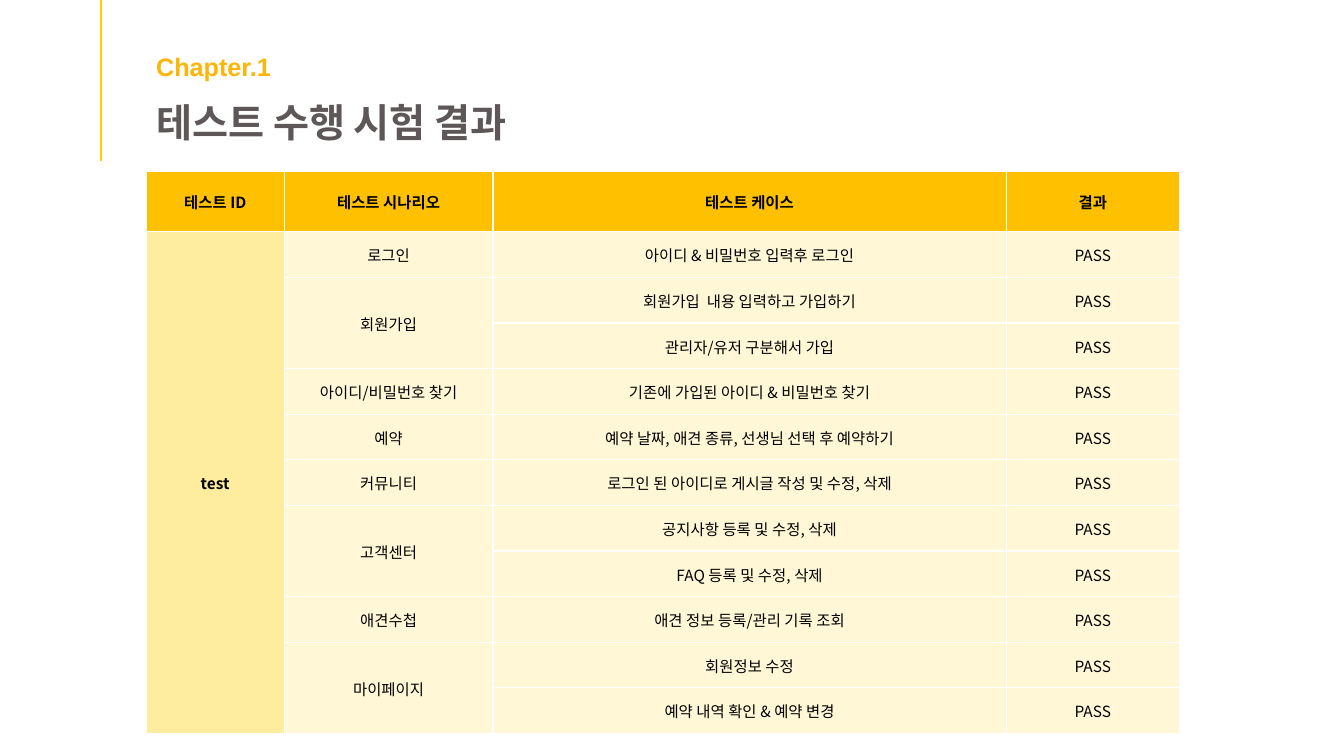
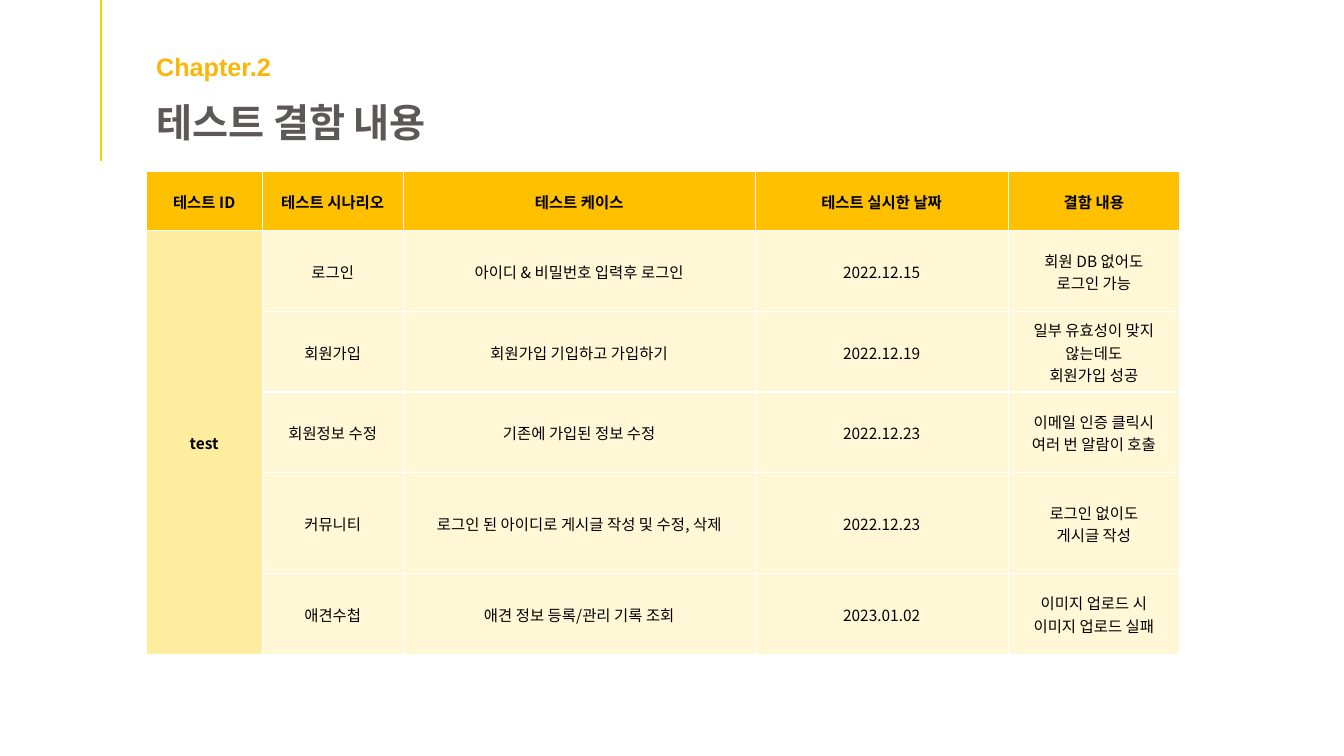
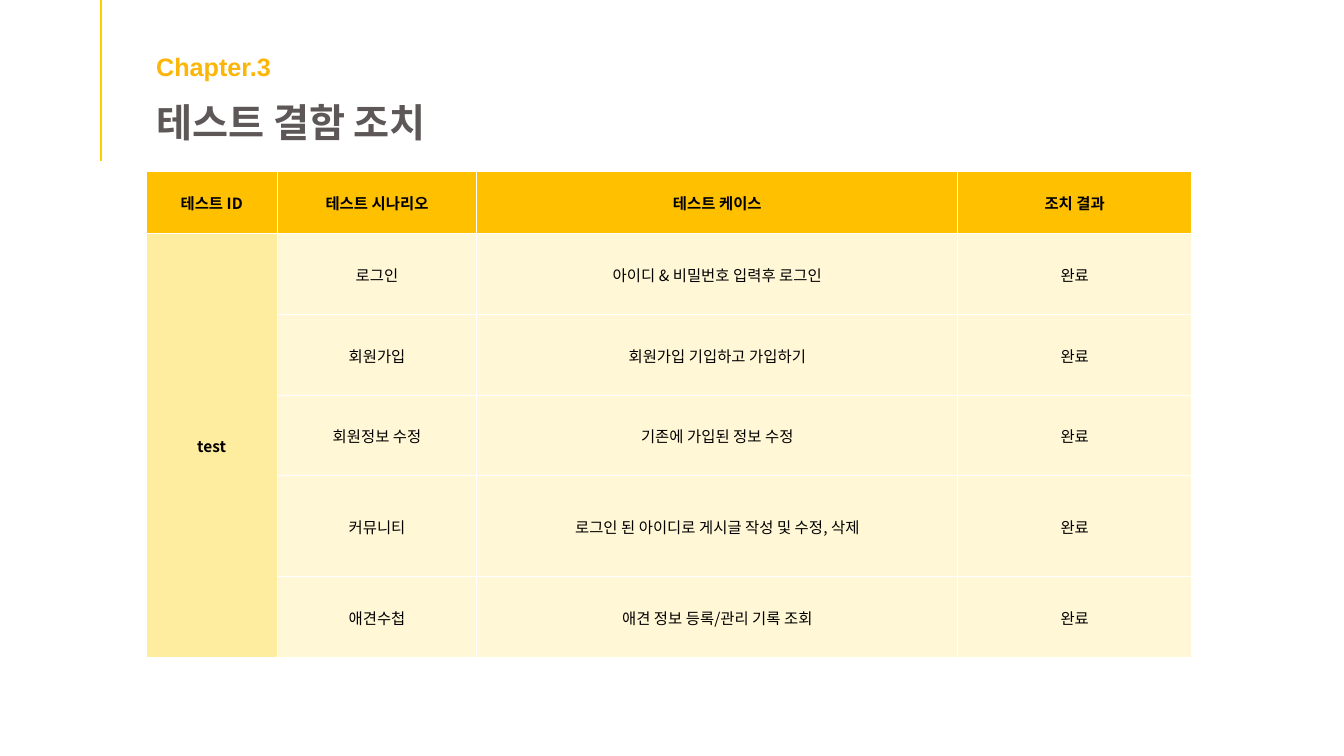
from dataclasses import dataclass

from lxml.etree import SubElement
from pptx import Presentation
from pptx.dml.color import RGBColor
from pptx.enum.shapes import MSO_CONNECTOR
from pptx.enum.text import MSO_ANCHOR, PP_ALIGN
from pptx.oxml.ns import qn
from pptx.util import Inches, Pt


@dataclass(frozen=True)
class Theme:
    rule: str = "FFCF01"
    chapter: str = "FBB609"
    title: str = "5D5757"
    text: str = "000000"
    header: str = "FFC000"
    first_col: str = "FFED9F"
    body: str = "FFF7D5"
    border: str = "FFFFFF"
    latin: str = "Arial"
    korean: str = "Noto Sans CJK KR"
    chapter_size: int = 18
    title_size: int = 28
    table_size: int = 11


T = Theme()
LEFT, TABLE_TOP = 1.45, 1.7

# Content: None continues the cell above, "\n" starts a new paragraph
LOGIN = "아이디 & 비밀번호 입력후 로그인"
JOIN = "회원가입 기입하고 가입하기"
EDIT = "기존에 가입된 정보 수정"
POST = "로그인 된 아이디로 게시글 작성 및 수정, 삭제"
PET = "애견 정보 등록/관리 기록 조회"
HEAD = ["테스트 ID", "테스트 시나리오", "테스트 케이스"]

SLIDES = [
    dict(
        title="테스트 수행 시험 결과",
        cols=[1.37, 2.07, 5.09, 1.72],
        header_height=0.6, body_height=4.98, row_weights=[1] * 11,
        head=HEAD + ["결과"],
        rows=[
            ("test", "로그인", LOGIN, "PASS"),
            (None, "회원가입", "회원가입  내용 입력하고 가입하기", "PASS"),
            (None, None, "관리자/유저 구분해서 가입", "PASS"),
            (None, "아이디/비밀번호 찾기", "기존에 가입된 아이디 & 비밀번호 찾기", "PASS"),
            (None, "예약", "예약 날짜, 애견 종류, 선생님 선택 후 예약하기", "PASS"),
            (None, "커뮤니티", POST, "PASS"),
            (None, "고객센터", "공지사항 등록 및 수정, 삭제", "PASS"),
            (None, None, "FAQ 등록 및 수정, 삭제", "PASS"),
            (None, "애견수첩", PET, "PASS"),
            (None, "마이페이지", "회원정보 수정", "PASS"),
            (None, None, "예약 내역 확인 & 예약 변경", "PASS"),
        ],
    ),
    dict(
        title="테스트 결함 내용",
        cols=[1.15, 1.4, 3.49, 2.51, 1.7],
        header_height=0.59, body_height=4.2, row_weights=[4, 4, 4, 5, 4],
        head=HEAD + ["테스트 실시한 날짜", "결함 내용"],
        rows=[
            ("test", "로그인", LOGIN, "2022.12.15", "회원 DB 없어도\n로그인 가능"),
            (None, "회원가입", JOIN, "2022.12.19", "일부 유효성이 맞지 않는데도\n회원가입 성공"),
            (None, "회원정보 수정", EDIT, "2022.12.23", "이메일 인증 클릭시\n여러 번 알람이 호출"),
            (None, "커뮤니티", POST, "2022.12.23", "로그인 없이도\n게시글 작성"),
            (None, "애견수첩", PET, "2023.01.02", "이미지 업로드 시\n이미지 업로드 실패"),
        ],
    ),
    dict(
        title="테스트 결함 조치",
        cols=[1.3, 1.98, 4.77, 2.32],
        header_height=0.62, body_height=4.2, row_weights=[4, 4, 4, 5, 4],
        head=HEAD + ["조치 결과"],
        rows=[
            ("test", "로그인", LOGIN, "완료"),
            (None, "회원가입", JOIN, "완료"),
            (None, "회원정보 수정", EDIT, "완료"),
            (None, "커뮤니티", POST, "완료"),
            (None, "애견수첩", PET, "완료"),
        ],
    ),
]


def add_run(p, text, size, color, latin, bold):
    r = p.add_run()
    r.text = text
    r.font.size, r.font.bold, r.font.name = Pt(size), bold, latin
    r.font.color.rgb = RGBColor.from_string(color)
    SubElement(r.font._element, qn("a:ea"), typeface=T.korean)


def add_heading(s, top, width, height, text, size, color):
    sp = s.shapes.add_textbox(Inches(LEFT), Inches(top), Inches(width), Inches(height))
    tf = sp.text_frame
    tf.word_wrap = True
    tf.vertical_anchor = MSO_ANCHOR.MIDDLE
    add_run(tf.paragraphs[0], text, size, color, T.latin, True)


def add_frame(s, number, title):
    # Vertical rule beside the headings
    line = s.shapes.add_connector(MSO_CONNECTOR.STRAIGHT, Inches(1), 0, Inches(1), Inches(1.6))
    line.line.color.rgb = RGBColor.from_string(T.rule)
    line.line.width = Pt(1.5)
    SubElement(line._element.spPr, qn("a:effectLst"))
    # Chapter label and title
    add_heading(s, 0.46, 5.51, 0.4, f"Chapter.{number}", T.chapter_size, T.chapter)
    add_heading(s, 0.92, 6.67, 0.57, title, T.title_size, T.title)


def style_cell(cell, fill):
    tc_pr = cell._tc.get_or_add_tcPr()
    for side in ("lnL", "lnR", "lnT", "lnB"):
        ln = SubElement(tc_pr, qn(f"a:{side}"), w=str(Pt(1)))
        SubElement(SubElement(ln, qn("a:solidFill")), qn("a:srgbClr"), val=T.border)
    cell.fill.solid()
    cell.fill.fore_color.rgb = RGBColor.from_string(fill)
    cell.vertical_anchor = MSO_ANCHOR.MIDDLE
    cell.margin_left = cell.margin_right = cell.margin_top = Inches(0.01)
    cell.margin_bottom = 0


def write_cell(cell, text, bold):
    tf = cell.text_frame
    for i, part in enumerate(text.split("\n")):
        p = tf.add_paragraph() if i else tf.paragraphs[0]
        p.alignment = PP_ALIGN.CENTER
        add_run(p, part, T.table_size, T.text, T.korean, bold)


def add_result_table(s, data):
    grid = [data["head"]] + data["rows"]
    weights = data["row_weights"]
    unit = data["body_height"] / sum(weights)
    heights = [data["header_height"]] + [w * unit for w in weights]
    cols = data["cols"]
    table = s.shapes.add_table(
        len(grid), len(cols), Inches(LEFT), Inches(TABLE_TOP),
        Inches(sum(cols)), Inches(sum(heights))).table
    table.horz_banding = False
    for col, width in zip(table.columns, cols):
        col.width = Inches(width)
    for row, height in zip(table.rows, heights):
        row.height = Inches(height)

    for i, values in enumerate(grid):
        for j, text in enumerate(values):
            cell = table.cell(i, j)
            fill = T.header if i == 0 else T.first_col if j == 0 else T.body
            style_cell(cell, fill)
            if text is None:
                continue
            write_cell(cell, text, bold=i == 0 or j == 0)
            # Merge downwards over the continued cells
            end = i
            while end + 1 < len(grid) and grid[end + 1][j] is None:
                end += 1
            if end > i:
                cell.merge(table.cell(end, j))


def main():
    prs = Presentation()
    prs.slide_width, prs.slide_height = Inches(13.33), Inches(7.5)
    for number, data in enumerate(SLIDES, 1):
        s = prs.slides.add_slide(prs.slide_layouts[6])
        add_frame(s, number, data["title"])
        add_result_table(s, data)
    prs.save("out.pptx")


if __name__ == "__main__":
    main()
